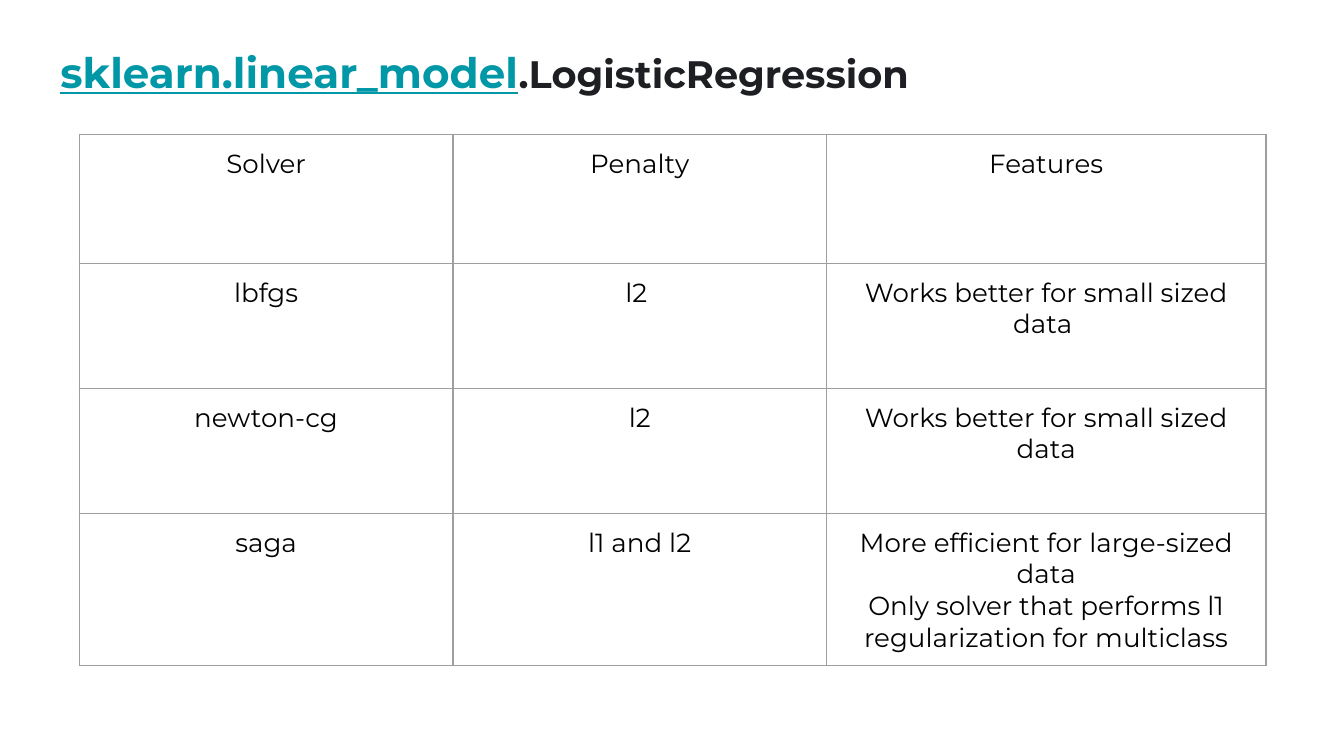
from lxml.etree import SubElement
from pptx import Presentation
from pptx.dml.color import RGBColor
from pptx.enum.text import MSO_ANCHOR, PP_ALIGN
from pptx.oxml.ns import qn
from pptx.util import Inches, Pt

FONT = "Montserrat"
BORDER_COLOR = "9E9E9E"
COLUMN_WIDTHS = [2.78, 2.78, 3.27]
ROW_HEIGHTS = [0.96, 0.93, 0.93, 0.93]
SOLVERS = [
    ["Solver", "Penalty", "Features"],
    ["lbfgs", "l2 ", "Works better for small sized data "],
    ["newton-cg", "l2", "Works better for small sized data"],
    ["saga", "l1 and l2", "More efficient for large-sized data\n"
     "Only solver that performs l1 regularization for multiclass"],
]


def color(hex_value):
    return RGBColor.from_string(hex_value)


def set_margins(box):
    box.margin_left = box.margin_right = Inches(0.1)
    box.margin_top = box.margin_bottom = Inches(0.1)


def add_title(slide, left, top, width, height):
    title = slide.shapes.add_textbox(
        Inches(left), Inches(top), Inches(width), Inches(height))
    frame = title.text_frame
    frame.word_wrap = True
    frame.vertical_anchor = MSO_ANCHOR.MIDDLE
    set_margins(frame)
    paragraph = frame.paragraphs[0]
    paragraph.line_spacing = 1.15
    paragraph.font.name = FONT
    paragraph.font.bold = True
    for text, size, hex_value, underline in [
        ("sklearn.linear_model", 22.5, "0097A7", True),
        (".LogisticRegression", 20.5, "1D1F22", False),
    ]:
        run = paragraph.add_run()
        run.text = text
        run.font.size = Pt(size)
        run.font.color.rgb = color(hex_value)
        run.font.underline = underline


def add_borders(cell):
    """Draw all four cell borders; call before setting the cell's fill."""
    properties = cell._tc.get_or_add_tcPr()
    for side in ("a:lnL", "a:lnR", "a:lnT", "a:lnB"):
        line = SubElement(properties, qn(side), w=str(Pt(0.75)))
        fill = SubElement(line, qn("a:solidFill"))
        SubElement(fill, qn("a:srgbClr"), val=BORDER_COLOR)


def fill_cell(cell, text):
    add_borders(cell)
    cell.fill.background()
    set_margins(cell)
    cell.text = text
    for paragraph in cell.text_frame.paragraphs:
        paragraph.alignment = PP_ALIGN.CENTER
        paragraph.font.name = FONT
        paragraph.font.size = Pt(14)
        paragraph.font.color.rgb = color("000000")


def add_solver_table(slide, left, top):
    table = slide.shapes.add_table(
        len(ROW_HEIGHTS), len(COLUMN_WIDTHS), Inches(left), Inches(top),
        Inches(sum(COLUMN_WIDTHS)), Inches(sum(ROW_HEIGHTS))).table
    table.first_row = False
    table.horz_banding = False
    for column, width in zip(table.columns, COLUMN_WIDTHS):
        column.width = Inches(width)
    for row, height, texts in zip(table.rows, ROW_HEIGHTS, SOLVERS):
        row.height = Inches(height)
        for cell, text in zip(row.cells, texts):
            fill_cell(cell, text)


def main():
    presentation = Presentation()
    presentation.slide_width = Inches(10)
    presentation.slide_height = presentation.slide_width * 9 // 16
    slide = presentation.slides.add_slide(presentation.slide_layouts[6])
    add_title(slide, 0.35, 0.19, 9.32, 0.63)
    add_solver_table(slide, 0.59, 1)
    presentation.save("out.pptx")


if __name__ == "__main__":
    main()
